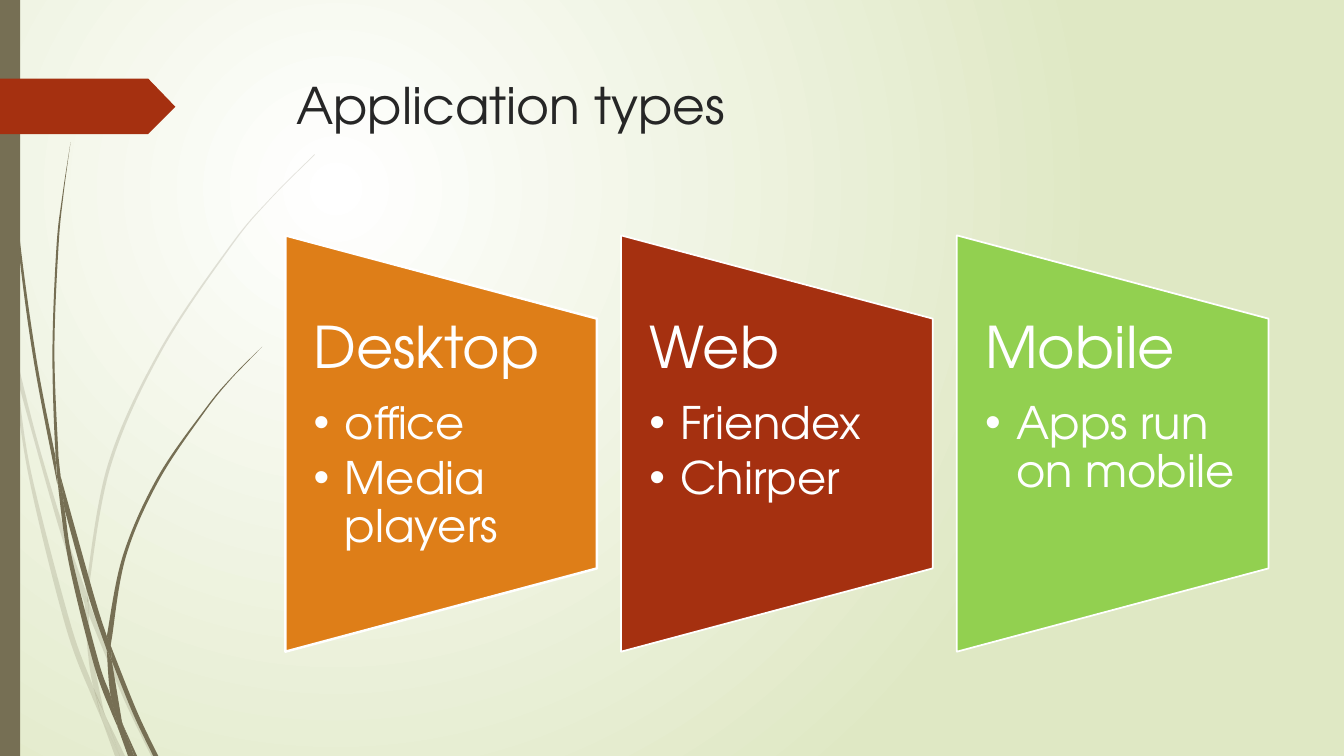
"""Build the slide on application types: three cards beside a band of grass."""
import dataclasses

import lxml.etree
import pptx
import pptx.dml.color
import pptx.enum.shapes
import pptx.enum.text
import pptx.oxml.ns
import pptx.util

TITLE = "Application types"
CARDS = [
    ("Desktop", ["office", "Media players"], "DE7E18", 1.75),
    ("Web", ["Friendex", "Chirper"], "A53010", 1.25),
    ("Mobile", ["Apps run on mobile"], "92D050", 1.25),
]

PALE_BLADES = [
    ([(0, 2.82), (0.09, 3.22), (0.11, 3.5)], [(0.1, 3.44), (0, 2.99)]),
    ([(0.14, 3.45), (0.36, 4.33), (0.62, 5.2), (0.85, 5.86)],
     [(0.84, 5.99), (0.58, 5.22), (0.17, 3.76)]),
    ([(0.88, 5.96), (0.92, 6.07), (1.27, 6.92), (1.55, 7.5)],
     [(1.5, 7.5), (1.23, 6.94), (0.88, 6.1)]),
    ([(1.05, 7.11), (1.24, 7.5)], [(1.19, 7.5)]),
    ([(0.11, 3.5), (0.17, 3.76), (0.31, 4.69), (0.7, 6.19), (0.93, 6.83), (1.01, 7.14)],
     [(0.92, 6.93), (0.65, 6.21), (0.28, 4.7), (0.11, 3.5)]),
    ([(0.84, 5.99), (0.87, 6.46), (0.93, 6.83), (1.05, 7.11)],
     [(1.03, 7.06), (0.91, 6.46), (0.88, 6.1)]),
    ([(3.12, 1.53), (2.68, 1.97), (2.28, 2.44), (1.58, 3.48), (1.07, 4.61), (0.85, 5.84)],
     [(0.88, 5.96), (0.88, 5.84), (1.1, 4.62), (1.6, 3.49), (2.29, 2.45), (2.68, 1.98),
      (3.12, 1.54)]),
    ([(1.01, 7.14), (1.14, 7.5)], [(1.19, 7.5)]),
    ([(0.85, 5.86), (0.88, 5.96), (0.88, 6.1)], [(0.84, 5.99)]),
    ([(0.93, 6.83), (1.05, 7.11), (1.19, 7.5)], [(1.01, 7.14)]),
]
DARK_BLADES = [
    ([(0.03, 0), (0.07, 1.1), (0.17, 2.33), (0.33, 3.55), (0.57, 4.81)],
     [(0.55, 4.53), (0.36, 3.55), (0.19, 2.32), (0.08, 1.09), (0.04, 0)]),
    ([(0.6, 4.72), (0.93, 5.9), (1.06, 6.31)], [(1.06, 6.45), (0.88, 5.92), (0.64, 5.05)]),
    ([(1.1, 6.41), (1.36, 7.06), (1.57, 7.5)], [(1.52, 7.5), (1.32, 7.08), (1.11, 6.56)]),
    ([(0.57, 4.77), (0.64, 5.05), (0.72, 5.56), (0.98, 6.57), (1.1, 6.91), (1.17, 7.22)],
     [(1.11, 7.08), (0.93, 6.59), (0.68, 5.57), (0.57, 4.77)]),
    ([(0.7, 1.41), (0.62, 1.93), (0.56, 2.45), (0.52, 3.49), (0.55, 4.49), (0.6, 4.72)],
     [(0.58, 4.53), (0.54, 3.49), (0.58, 2.45), (0.63, 1.93), (0.7, 1.41)]),
    ([(1.22, 7.19), (1.36, 7.5)], [(1.33, 7.5)]),
    ([(0.55, 4.49), (0.6, 4.72), (0.64, 5.05)], [(0.57, 4.77)]),
    ([(2.6, 3.44), (2.31, 3.73), (2.04, 4.05), (1.56, 4.74), (1.22, 5.51), (1.06, 6.31)],
     [(1.1, 6.41), (1.11, 6.33), (1.25, 5.52), (1.58, 4.76), (2.05, 4.06), (2.31, 3.74)]),
    ([(1.17, 7.22), (1.31, 7.5)], [(1.27, 7.5)]),
    ([(1.06, 6.45), (1.1, 6.91), (1.22, 7.19)], [(1.21, 7.16), (1.11, 6.56)]),
    ([(1.06, 6.31), (1.1, 6.41), (1.11, 6.56)], [(1.06, 6.45)]),
    ([(1.1, 6.91), (1.22, 7.19), (1.33, 7.5)], [(1.3, 7.5), (1.17, 7.22)]),
]
ARROW = [(0, 0.78), (1.47, 0.78), (1.74, 1.06), (1.47, 1.33), (0, 1.33)]

SLIDE_WIDTH, SLIDE_HEIGHT = 13.33, 7.5
CARD_LEFT, CARD_PITCH, CARD_MIDDLE = 2.83, 3.33, 4.4
CARD_WIDTH, CARD_HEIGHT = 3.09, 4.13
CARD_TEXT_SHARE = 0.6
CARD_INSET, BULLET_INDENT = 0.28, 0.31


@dataclasses.dataclass(frozen=True)
class Theme:
    font: str = "TeX Gyre Adventor"
    bullet_font: str = "Arial"
    title_size: int = 36
    heading_size: int = 41
    bullet_size: int = 32
    title: str = "262626"
    light: str = "FFFFFF"
    background: str = "DFE8C4"
    grass: str = "766F54"
    arrow: str = "A53010"
    pale_alpha: int = 20


THEME = Theme()
inches = pptx.util.Inches
qn = pptx.oxml.ns.qn


def rgb(value):
    return pptx.dml.color.RGBColor.from_string(value)


def add_xml(parent, tag, **attributes):
    return lxml.etree.SubElement(parent, qn(tag), attributes)


def paint(shape, color, alpha=100):
    shape.shadow.inherit = False
    shape.line.fill.background()
    shape.fill.solid()
    shape.fill.fore_color.rgb = rgb(color)
    if alpha < 100:
        color_node = shape.fill._xPr.find(".//" + qn("a:srgbClr"))
        add_xml(color_node, "a:alpha", val=str(alpha * 1000))


def add_outline(slide, points, color, alpha=100):
    corners = [(inches(x), inches(y)) for x, y in points]
    builder = slide.shapes.build_freeform(*corners[0])
    builder.add_line_segments(corners[1:], close=True)
    shape = builder.convert_to_shape()
    paint(shape, color, alpha)
    return shape


def add_blade(slide, edges, alpha):
    shape = add_outline(slide, edges[0] + edges[1], THEME.grass, alpha)
    lines = list(shape._element.iter(qn("a:lnTo")))
    position = 0
    for edge in edges:
        padded = [edge[0], *edge, edge[-1]]
        for before, start, end, after in zip(padded, padded[1:], padded[2:], padded[3:]):
            line = lines[position]
            first = [s + (e - b) / 6 for b, s, e in zip(before, start, end)]
            second = [e - (a - s) / 6 for s, e, a in zip(start, end, after)]
            line.tag = qn("a:cubicBezTo")
            for index, (x, y) in enumerate((first, second)):
                handle = line.makeelement(qn("a:pt"), {
                    "x": str(inches(x) - shape.left), "y": str(inches(y) - shape.top)})
                line.insert(index, handle)
            position += 1
        position += 1


def add_text_frame(slide, left, top, width, height):
    box = slide.shapes.add_textbox(inches(left), inches(top), inches(width), inches(height))
    box.text_frame.word_wrap = True
    return box.text_frame


def write(paragraph, text, size, color):
    paragraph.text = text
    paragraph.font.name = THEME.font
    paragraph.font.size = pptx.util.Pt(size)
    paragraph.font.color.rgb = rgb(color)


def set_background(slide):
    fill = slide.background.fill
    fill.gradient()
    for stop, position, color in zip(fill.gradient_stops, (0, 1), (THEME.light, THEME.background)):
        stop.position = position
        stop.color.rgb = rgb(color)
    linear = slide.background._cSld.find(".//" + qn("a:lin"))
    gradient = linear.getparent()
    gradient.remove(linear)
    circle = add_xml(gradient, "a:path", path="circle")
    add_xml(circle, "a:fillToRect", l="50000", t="50000", r="100000", b="100000")


def add_card(slide, column, heading, bullets, color, line_width):
    left = CARD_LEFT + column * CARD_PITCH
    shape = slide.shapes.add_shape(
        pptx.enum.shapes.MSO_SHAPE.FLOWCHART_MANUAL_OPERATION,
        inches(left + (CARD_WIDTH - CARD_HEIGHT) / 2), inches(CARD_MIDDLE - CARD_WIDTH / 2),
        inches(CARD_HEIGHT), inches(CARD_WIDTH))
    shape.rotation = 270
    paint(shape, color)
    shape.line.color.rgb = rgb(THEME.light)
    shape.line.width = pptx.util.Pt(line_width)
    text_height = CARD_HEIGHT * CARD_TEXT_SHARE
    frame = add_text_frame(slide, left, CARD_MIDDLE - text_height / 2, CARD_WIDTH, text_height)
    frame.margin_left = frame.margin_right = inches(CARD_INSET)
    frame.margin_top = frame.margin_bottom = 0
    for index, text in enumerate([heading, *bullets]):
        paragraph = frame.add_paragraph() if index else frame.paragraphs[0]
        size, gap = (THEME.bullet_size, 0.15) if index else (THEME.heading_size, 0.35)
        write(paragraph, text, size, THEME.light)
        paragraph.line_spacing = 0.9
        paragraph.space_after = pptx.util.Pt(size * gap)
        if index:
            paragraph.level = 1
            properties = paragraph._p.get_or_add_pPr()
            properties.set("marL", str(inches(BULLET_INDENT)))
            properties.set("indent", str(-inches(BULLET_INDENT)))
            spacing = properties.find(qn("a:spcAft"))
            spacing.addnext(properties.makeelement(qn("a:buChar"), {"char": "•"}))
            spacing.addnext(properties.makeelement(qn("a:buFont"), {"typeface": THEME.bullet_font}))


def main():
    presentation = pptx.Presentation()
    presentation.slide_width, presentation.slide_height = inches(SLIDE_WIDTH), inches(SLIDE_HEIGHT)
    slide = presentation.slides.add_slide(presentation.slide_layouts[6])
    set_background(slide)
    for blades, alpha in ((PALE_BLADES, THEME.pale_alpha), (DARK_BLADES, 100)):
        for edges in blades:
            add_blade(slide, edges, alpha)
    band = slide.shapes.add_shape(
        pptx.enum.shapes.MSO_SHAPE.RECTANGLE, 0, 0, inches(0.2), inches(SLIDE_HEIGHT))
    paint(band, THEME.grass)
    add_outline(slide, ARROW, THEME.arrow)
    title = add_text_frame(slide, 2.84, 0.69, 9.75, 1.4)
    title.vertical_anchor = pptx.enum.text.MSO_ANCHOR.TOP
    write(title.paragraphs[0], TITLE, THEME.title_size, THEME.title)
    for column, card in enumerate(CARDS):
        add_card(slide, column, *card)
    presentation.save("out.pptx")


if __name__ == "__main__":
    main()
